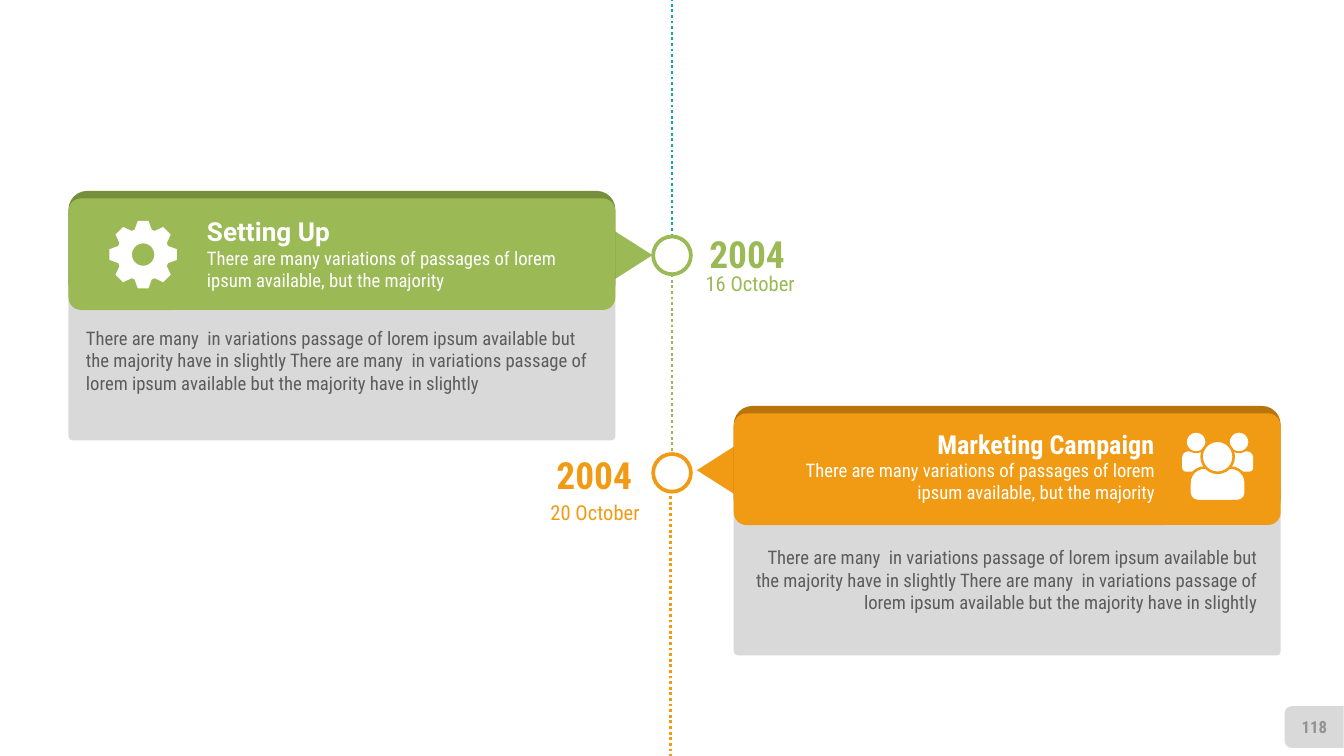
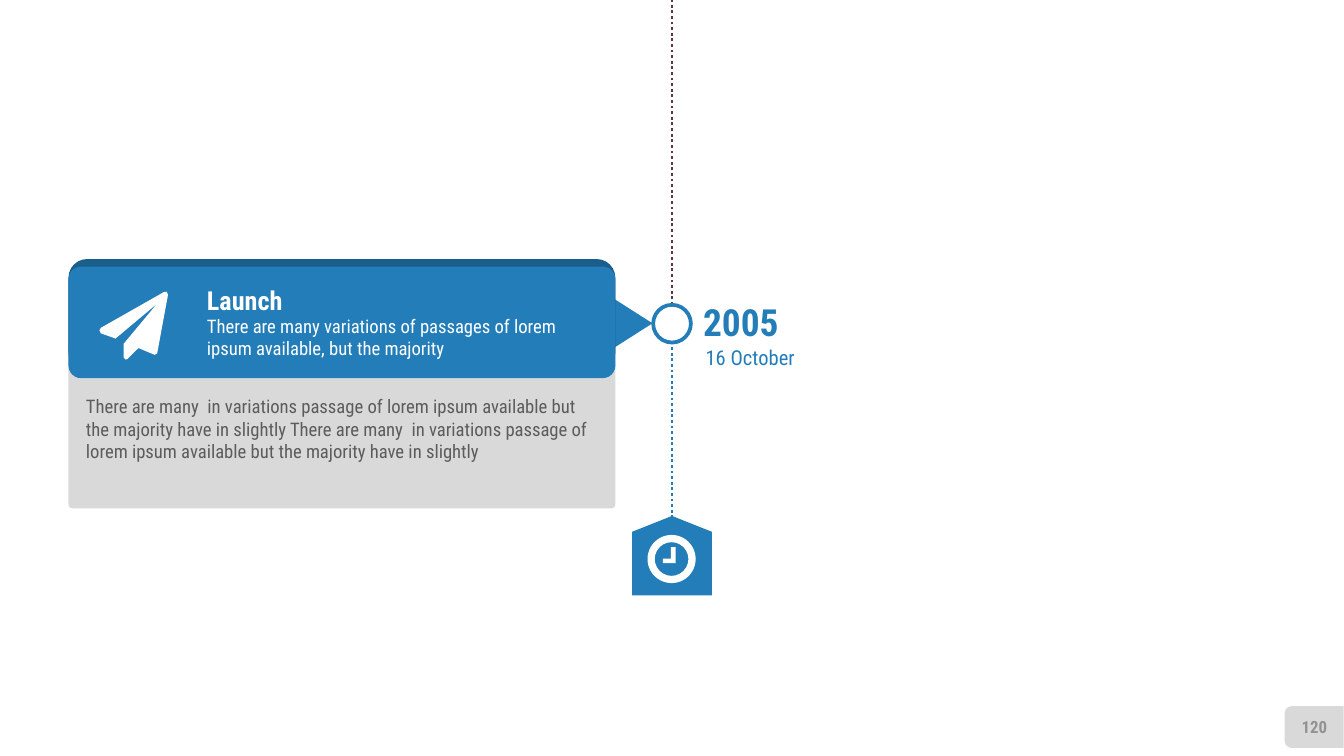
from collections import namedtuple
from math import cos, radians, sin

from lxml.etree import SubElement
from pptx import Presentation
from pptx.dml.color import RGBColor
from pptx.enum.dml import MSO_LINE
from pptx.enum.shapes import MSO_CONNECTOR, MSO_SHAPE
from pptx.enum.text import MSO_ANCHOR, PP_ALIGN
from pptx.oxml.ns import qn
from pptx.util import Pt

WHITE, PANEL, BODY_TEXT, PAGE_TEXT = "FFFFFF", "D9D9D9", "5C5C5C", "929292"
GREEN, DARK_GREEN = "9BB955", "768F3B"
ORANGE, DARK_ORANGE = "F19B14", "B9750B"
BLUE, DARK_BLUE = "237DB9", "1A5E8B"
TEAL, PLUM = "15AA96", "633247"

CONDENSED = "Roboto Condensed"
AXIS = 360
CARD_WIDTH, HEADER_HEIGHT = 293, 59.8
TITLE_WIDTH, DETAIL_WIDTH = 198.7, 271.4
SUMMARY = ("There are many variations of passages of lorem ipsum available, "
           "but the majority")
DETAIL = " ".join(["There are many  in variations passage of lorem ipsum available "
                   "but the majority have in slightly"] * 2)

Side = namedtuple("Side", "card pointer turn title detail title_drop detail_drop align")
LEFT = Side(36.7, 316.8, 90, 110.9, 46.1, 13.2, 72.8, PP_ALIGN.LEFT)
RIGHT = Side(393.1, 369.4, 270, 419.8, 401.8, 11.7, 75, PP_ALIGN.RIGHT)


def color(hex_code):
    return RGBColor.from_string(hex_code)


def paint(shape, fill, line=None, weight=0):
    shape.shadow.inherit = False
    shape.fill.solid()
    shape.fill.fore_color.rgb = color(fill)
    if line:
        shape.line.color.rgb = color(line)
        shape.line.width = Pt(weight)
    else:
        shape.line.fill.background()


def add_preset(slide, preset, box, fill, line=None, weight=0, turn=0, adjust=()):
    shape = slide.shapes.add_shape(preset, *map(Pt, box))
    paint(shape, fill, line, weight)
    shape.rotation = turn
    for index, value in enumerate(adjust):
        shape.adjustments[index] = value


def add_outline(slide, contours, fill):
    """Draw closed polygons as one shape; an inner polygon cuts a hole."""
    paths = [[(Pt(x), Pt(y)) for x, y in contour] for contour in contours]
    builder = slide.shapes.build_freeform(*paths[0][0])
    builder.add_line_segments(paths[0][1:], close=True)
    for points in paths[1:]:
        builder.move_to(*points[0])
        builder.add_line_segments(points[1:], close=True)
    paint(builder.convert_to_shape(), fill)


def add_text(slide, text, box, size, hue, bold=False, align=PP_ALIGN.LEFT,
             anchor=MSO_ANCHOR.MIDDLE, font=CONDENSED):
    frame = slide.shapes.add_textbox(*map(Pt, box)).text_frame
    frame.word_wrap = True
    frame.vertical_anchor = anchor
    frame.margin_left = frame.margin_right = frame.margin_top = frame.margin_bottom = 0
    paragraph = frame.paragraphs[0]
    paragraph.alignment = align
    run = paragraph.add_run()
    run.text = text
    run.font.name = font
    run.font.size = Pt(size)
    run.font.bold = bold
    run.font.color.rgb = color(hue)


def add_axis(slide, start, end, hue, x=AXIS):
    axis = slide.shapes.add_connector(MSO_CONNECTOR.STRAIGHT, Pt(x), Pt(start),
                                      Pt(x), Pt(end))
    axis.line.color.rgb = color(hue)
    axis.line.width = Pt(1.5)
    axis.line.dash_style = MSO_LINE.ROUND_DOT
    SubElement(axis._element.spPr, qn("a:effectLst"))


def add_milestone(slide, top, hue):
    add_preset(slide, MSO_SHAPE.OVAL, (AXIS - 10.1, top, 20.2, 20.2), WHITE, hue, 2)


def add_date(slide, year, day, year_at, day_at, hue, align=PP_ALIGN.LEFT):
    add_text(slide, year, (*year_at, 44.6, 24.5), 20, hue, bold=True)
    add_text(slide, day, (*day_at, 54.7, 13.7), 11, hue, align=align)


def add_card(slide, side, top, title, hue, dark, title_font=CONDENSED):
    add_preset(slide, MSO_SHAPE.ROUNDED_RECTANGLE,
               (side.card, top + 44.3, CARD_WIDTH, 89.3), PANEL, adjust=[0.025])
    add_preset(slide, MSO_SHAPE.ISOSCELES_TRIANGLE,
               (side.pointer, top + 20, 36.7, 28.8), hue, turn=side.turn)
    for drop, fill, rounding in ((0, dark, 0.167), (4, hue, 0.113)):
        add_preset(slide, MSO_SHAPE.ROUNDED_RECTANGLE,
                   (side.card, top + drop, CARD_WIDTH, HEADER_HEIGHT), fill,
                   adjust=[rounding])
    title_top = top + side.title_drop
    add_text(slide, title, (side.title, title_top, TITLE_WIDTH, 17), 14, WHITE,
             bold=True, align=side.align, font=title_font)
    add_text(slide, SUMMARY, (side.title, title_top + 16.6, TITLE_WIDTH, 24.5), 10,
             WHITE, align=side.align, anchor=MSO_ANCHOR.TOP)
    add_text(slide, DETAIL, (side.detail, top + side.detail_drop, DETAIL_WIDTH, 48.2),
             10, BODY_TEXT, align=side.align, anchor=MSO_ANCHOR.TOP)


def add_page_number(slide, number):
    add_preset(slide, MSO_SHAPE.ROUND_2_SAME_RECTANGLE, (692.8, 373.7, 22.4, 31.6),
               PANEL, turn=270)
    add_text(slide, number, (689, 378.7, 30.2, 21.6), 9, PAGE_TEXT, bold=True,
             align=PP_ALIGN.CENTER)


def add_gear(slide, x, y):
    def polar(angle, radius):
        return x + radius * cos(radians(angle)), y + radius * sin(radians(angle))

    profile = ((-19, 14.1), (-9, 18.3), (9, 18.3), (19, 14.1))
    teeth = [polar(tooth * 45 + angle, radius)
             for tooth in range(8) for angle, radius in profile]
    hole = [polar(-angle, 6) for angle in range(0, 360, 10)]
    add_outline(slide, [teeth, hole], WHITE)


def add_team(slide, x, top, gap):
    """Three people centred on x; gap is the colour that parts them."""
    body = MSO_SHAPE.ROUND_2_SAME_RECTANGLE
    for sign in (-1, 1):
        center = x + sign * 11.5
        add_preset(slide, body, (x + sign * 13.2 - 5.8, top + 10, 11.6, 10.9), WHITE,
                   adjust=[0.3, 0.2])
        add_preset(slide, MSO_SHAPE.OVAL, (center - 5.5, top - 0.5, 11, 11), WHITE,
                   gap, 1)
    add_preset(slide, body, (x - 15.1, top + 18.7, 30.2, 18), WHITE, gap, 1.4,
               adjust=[0.45, 0.25])
    add_preset(slide, MSO_SHAPE.OVAL, (x - 8.6, top + 4.3, 17.2, 17.2), WHITE, gap, 1.4)


def add_paper_plane(slide):
    add_outline(slide, [[
        (90, 158), (84.2, 189.4), (82.8, 190.1), (74.2, 186.5), (68.4, 192.2),
        (67.4, 192.7), (66.2, 191.5), (66.2, 184.3), (84.2, 162.7), (61.9, 181.4),
        (54, 178.6), (53.3, 177.1), (54, 175.7), (87.8, 156.5), (89.3, 156.3)]], WHITE)


def add_clock_end(slide, top, hue):
    add_preset(slide, MSO_SHAPE.FLOWCHART_OFFPAGE_CONNECTOR,
               (AXIS - 21.4, top, 42.8, 42.5), hue, turn=180)
    add_preset(slide, MSO_SHAPE.DONUT, (AXIS - 13.1, top + 10.2, 25.8, 25.8), WHITE,
               adjust=[0.15])
    hands = ((-0.6, 16.7), (2, 16.7), (2, 25.3), (-4.9, 25.3), (-4.9, 22.9),
             (-0.6, 22.9))
    add_outline(slide, [[(AXIS + x, top + y) for x, y in hands]], WHITE)


def build_first_steps(slide):
    add_page_number(slide, "118")
    add_axis(slide, 146.9, 243.4, GREEN)
    add_axis(slide, 126.7, 0, TEAL)
    add_axis(slide, 262.8, 405, ORANGE, x=359.3)

    add_card(slide, LEFT, 102.3, "Setting Up", GREEN, DARK_GREEN, title_font="Roboto")
    add_gear(slide, 76.7, 136.4)
    add_milestone(slide, 126.7, GREEN)
    add_date(slide, "2004", "16 October", (380, 123.8), (378, 144.7), GREEN)

    add_card(slide, RIGHT, 217.5, "Marketing Campaign", ORANGE, DARK_ORANGE)
    add_team(slide, 652.3, 231.8, ORANGE)
    add_milestone(slide, 243.2, ORANGE)
    add_date(slide, "2004", "20 October", (298.1, 241.9), (288, 267.8), ORANGE,
             PP_ALIGN.RIGHT)


def build_launch(slide):
    add_page_number(slide, "120")
    add_axis(slide, 183, 279.4, BLUE)
    add_axis(slide, 163.3, 0, PLUM)

    add_card(slide, LEFT, 138.8, "Launch", BLUE, DARK_BLUE)
    add_paper_plane(slide)
    add_milestone(slide, 163.3, BLUE)
    add_date(slide, "2005", "16 October", (376.6, 160.2), (378, 184.5), BLUE)
    add_clock_end(slide, 276.4, BLUE)


def main():
    deck = Presentation()
    deck.slide_width, deck.slide_height = Pt(720), Pt(405)
    for build in (build_first_steps, build_launch):
        build(deck.slides.add_slide(deck.slide_layouts[6]))
    deck.save("out.pptx")


if __name__ == "__main__":
    main()
